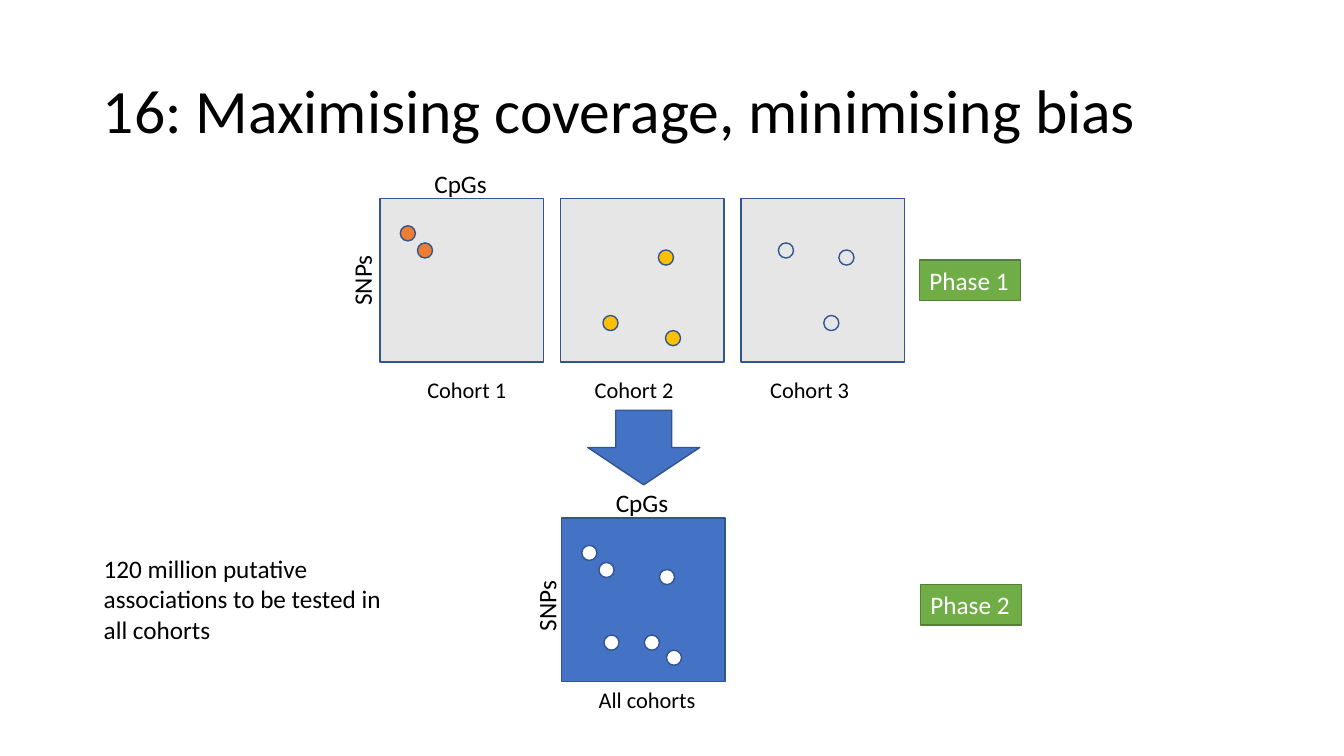
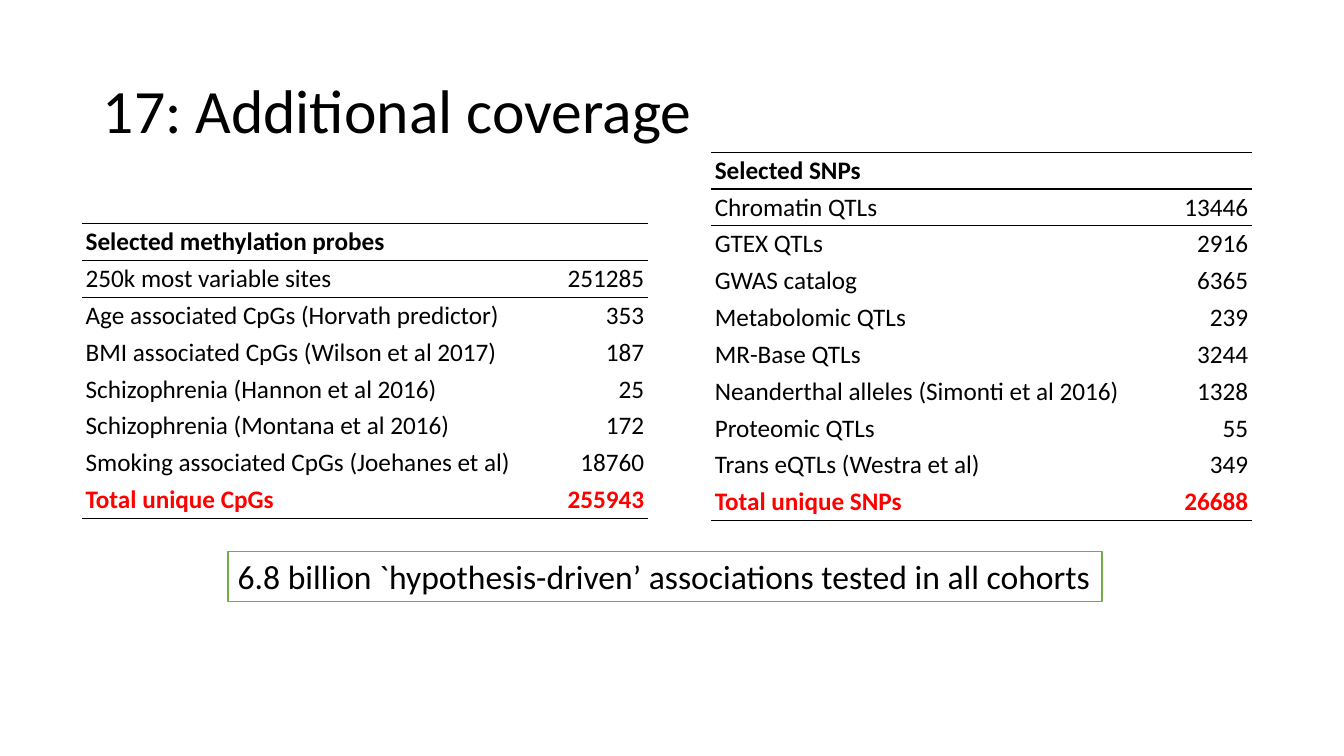
from lxml import etree
from pptx import Presentation
from pptx.dml.color import RGBColor
from pptx.enum import shapes, text
from pptx.oxml import ns
from pptx.util import Inches, Pt

COLORS = {
    "black": "000000", "white": "FFFFFF", "red": "FF0000",
    "blue": "4472C4", "navy": "325491", "gray": "E7E6E6",
    "orange": "ED7D31", "gold": "FFC000",
    "green": "70AD47", "forest": "538035",
}
FONT = "Calibri"
NO_GRID_STYLE = "{2D5ABB26-0587-4C30-8999-92F81FD0307C}"

PANEL, DOT = 1.62, 0.15
PANEL_LEFT, PANEL_TOP, PANEL_STEP = 3.77, 1.97, 1.79
CAPTION_TOP = 3.68
COHORTS = [
    ("Cohort 1", 4.14, "orange", [(0.2, 0.27), (0.37, 0.44)]),
    ("Cohort 2", 5.8, "gold", [(0.97, 0.51), (0.42, 1.16), (1.04, 1.31)]),
    ("Cohort 3", 7.54, "gray", [(0.97, 0.51), (0.37, 0.44), (0.82, 1.16)]),
]
POOLED_LEFT, POOLED_TOP = 5.57, 5.14
PHASES = [("Phase 1", 9.12, 2.58), ("Phase 2", 9.13, 5.8)]

ROW_HEIGHT = 0.36
COVERAGE_TABLES = [
    ((0.81, 2.22), (4.32, 1.3), [
        ("Selected methylation probes", ""),
        ("250k most variable sites", "251285"),
        ("Age associated CpGs (Horvath predictor)", "353"),
        ("BMI associated CpGs (Wilson et al 2017)", "187"),
        ("Schizophrenia (Hannon et al 2016)", "25"),
        ("Schizophrenia (Montana et al 2016)", "172"),
        ("Smoking associated CpGs (Joehanes et al)", "18760"),
        ("Total unique CpGs", "255943"),
    ]),
    ((7.05, 1.51), (4.41, 0.96), [
        ("Selected SNPs", ""),
        ("Chromatin QTLs", "13446"),
        ("GTEX QTLs", "2916"),
        ("GWAS catalog", "6365"),
        ("Metabolomic QTLs", "239"),
        ("MR-Base QTLs", "3244"),
        ("Neanderthal alleles (Simonti et al 2016)", "1328"),
        ("Proteomic QTLs", "55"),
        ("Trans eQTLs (Westra et al)", "349"),
        ("Total unique SNPs", "26688"),
    ]),
]


def rgb(name):
    return RGBColor.from_string(COLORS[name])


def style(paragraph, size, color="black", bold=False, align=text.PP_ALIGN.LEFT):
    paragraph.alignment = align
    font = paragraph.font
    font.name, font.size, font.bold = FONT, Pt(size), bold
    font.color.rgb = rgb(color)


def write(shape, words, size, color="black", wrap=False):
    frame = shape.text_frame
    frame.word_wrap = wrap
    frame.vertical_anchor = text.MSO_ANCHOR.TOP
    frame.text = words
    style(frame.paragraphs[0], size, color)


def add_titled_slide(deck, words):
    slide = deck.slides.add_slide(deck.slide_layouts[5])
    title = slide.shapes.title
    title.left, title.top = Inches(0.92), Inches(0.4)
    title.width, title.height = Inches(11.5), Inches(1.45)
    write(title, words, 44, wrap=True)
    title.text_frame.vertical_anchor = text.MSO_ANCHOR.MIDDLE
    title.text_frame.paragraphs[0].line_spacing = 0.9
    return slide


def add_label(slide, words, box, size=18, rotation=0, wrap=False):
    label = slide.shapes.add_textbox(*map(Inches, box))
    label.rotation = rotation
    write(label, words, size, wrap=wrap)


def add_block(slide, kind, box, fill, line="navy"):
    block = slide.shapes.add_shape(kind, *map(Inches, box))
    block.shadow.inherit = False
    block.fill.solid()
    block.fill.fore_color.rgb = rgb(fill)
    block.line.color.rgb = rgb(line)
    block.line.width = Pt(1)
    return block


def add_panel(slide, left, top, fill, dots, dot_fill):
    add_block(slide, shapes.MSO_SHAPE.RECTANGLE, (left, top, PANEL, PANEL), fill)
    for x, y in dots:
        add_block(slide, shapes.MSO_SHAPE.OVAL, (left + x, top + y, DOT, DOT), dot_fill)


def add_axes(slide, left, top, snps_left, snps_top):
    add_label(slide, "CpGs", (left + 0.44, top - 0.35, 0.73, 0.4))
    add_label(slide, "SNPs", (snps_left, snps_top, 0.7, 0.4), rotation=270)


def add_rule(cell, side):
    properties = cell._tc.get_or_add_tcPr()
    rule = etree.Element(ns.qn(f"a:ln{side}"), w=str(Pt(1)))
    fill = etree.SubElement(rule, ns.qn("a:solidFill"))
    etree.SubElement(fill, ns.qn("a:srgbClr"), val=COLORS["black"])
    properties.insert(0, rule)


def add_coverage_table(slide, corner, widths, rows):
    size = (sum(widths), ROW_HEIGHT * len(rows))
    table = slide.shapes.add_table(len(rows), len(widths), *map(Inches, corner + size)).table
    table.first_row = table.horz_banding = False
    table._tbl.tblPr.find(ns.qn("a:tableStyleId")).text = NO_GRID_STYLE
    for column, width in zip(table.columns, widths):
        column.width = Inches(width)
    last = len(rows) - 1
    for r, row in enumerate(rows):
        table.rows[r].height = Inches(ROW_HEIGHT)
        for c, words in enumerate(row):
            cell = table.cell(r, c)
            cell.text = words
            cell.vertical_anchor = text.MSO_ANCHOR.BOTTOM
            cell.margin_left = cell.margin_right = Inches(0.04)
            cell.margin_top = cell.margin_bottom = Inches(0.03)
            cell.fill.background()
            style(cell.text_frame.paragraphs[0], 18,
                  "red" if r == last else "black", r in (0, last),
                  text.PP_ALIGN.RIGHT if c else text.PP_ALIGN.LEFT)
            if r in (0, 1, last):
                add_rule(cell, "B")
            if r == 0:
                add_rule(cell, "T")


def build_design(deck):
    slide = add_titled_slide(deck, "16: Maximising coverage, minimising bias")
    for i, (caption, caption_left, color, dots) in enumerate(COHORTS):
        add_panel(slide, PANEL_LEFT + i * PANEL_STEP, PANEL_TOP, "gray", dots, color)
        add_label(slide, caption, (caption_left, CAPTION_TOP, 1, 0.37), 16)
    add_axes(slide, PANEL_LEFT, PANEL_TOP, 3.24, 2.58)

    pooled_dots = sorted({dot for cohort in COHORTS for dot in cohort[-1]})
    add_panel(slide, POOLED_LEFT, POOLED_TOP, "blue", pooled_dots, "white")
    add_axes(slide, POOLED_LEFT, POOLED_TOP, 5.07, 5.81)
    add_label(slide, "All cohorts", (5.84, 6.76, 1.17, 0.37), 16)

    for phase, left, top in PHASES:
        tag = add_block(slide, shapes.MSO_SHAPE.RECTANGLE, (left, top, 1, 0.4), "green", "forest")
        write(tag, phase, 18, "white")
    add_label(slide, "120 million putative associations to be tested in all cohorts",
              (0.93, 5.44, 3.05, 1.01), wrap=True)
    add_block(slide, shapes.MSO_SHAPE.DOWN_ARROW, (5.83, 4.07, 1.11, 0.74), "blue")


def build_coverage(deck):
    slide = add_titled_slide(deck, "17: Additional coverage")
    for corner, widths, rows in COVERAGE_TABLES:
        add_coverage_table(slide, corner, widths, rows)
    summary = add_block(slide, shapes.MSO_SHAPE.RECTANGLE, (2.26, 5.47, 8.67, 0.5), "white", "green")
    write(summary, "6.8 billion `hypothesis-driven’ associations tested in all cohorts", 24, wrap=True)


def main():
    deck = Presentation()
    deck.slide_width, deck.slide_height = Inches(13.33), Inches(7.5)
    build_design(deck)
    build_coverage(deck)
    deck.save("out.pptx")


if __name__ == "__main__":
    main()
